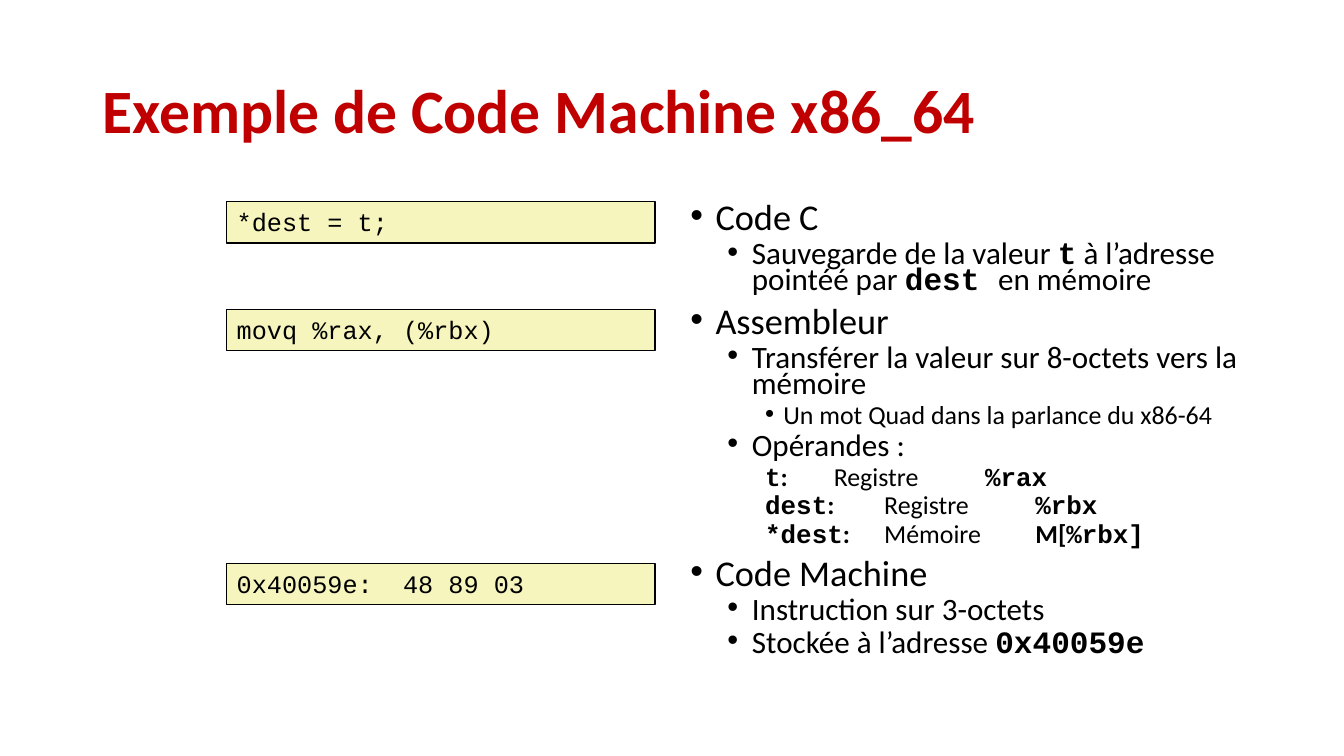
from lxml import etree
from pptx import Presentation
from pptx.dml.color import RGBColor
from pptx.enum.shapes import MSO_SHAPE
from pptx.enum.text import MSO_ANCHOR, MSO_AUTO_SIZE, PP_ALIGN
from pptx.oxml.ns import qn
from pptx.util import Pt

RECTANGLE = MSO_SHAPE.RECTANGLE
LEFT = PP_ALIGN.LEFT
MIDDLE, TOP = MSO_ANCHOR.MIDDLE, MSO_ANCHOR.TOP
NO_AUTOFIT = MSO_AUTO_SIZE.NONE

TITLE_ONLY = 5
SANS, MONO = "Calibri", "Courier New"
RED, BLACK, CREAM = "C00000", "000000", "F6F5BD"

# Run styles: font and bold
PLAIN, STRONG, CODE = (SANS, False), (SANS, True), (MONO, True)

# For each outline level: size, left margin, first-line indent, space before
LEVELS = [(25.9, 18, -18, 10), (22.2, 44, -17.5, 5), (18.5, 66.5, -13, 5)]
TAB_STOPS = (126, 198)

# Code boxes: top and text
CODE_BOXES = [
    (144, "*dest = t;"),
    (221, "movq %rax, (%rbx)"),
    (402.5, "0x40059e:  48 89 03"),
]

# Outline: level, bulleted, runs
OUTLINE = [
    (0, True, [("Code C", PLAIN)]),
    (1, True, [("Sauvegarde de la valeur ", PLAIN), ("t", CODE),
               (" à l’adresse pointéé par ", PLAIN), ("dest ", CODE),
               ("en mémoire", PLAIN)]),
    (0, True, [("Assembleur", PLAIN)]),
    (1, True, [("Transférer la valeur sur 8-octets vers la mémoire", PLAIN)]),
    (2, True, [("Un mot Quad dans la parlance du x86-64", PLAIN)]),
    (1, True, [("Opérandes :", PLAIN)]),
    (2, False, [("t", CODE), (":\t", STRONG), ("Registre\t\t", PLAIN),
                ("%rax", CODE)]),
    (2, False, [("dest", CODE), (":\t", STRONG), ("Registre\t\t", PLAIN),
                ("%rbx", CODE)]),
    (2, False, [("*dest", CODE), (": \t", STRONG), ("Mémoire\t\t", PLAIN),
                ("M[", STRONG), ("%rbx]", CODE)]),
    (0, True, [("Code Machine", PLAIN)]),
    (1, True, [("Instruction sur 3-octets", PLAIN)]),
    (1, True, [("Stockée à l’adresse ", PLAIN), ("0x40059e", CODE)]),
]


def color(hex_text):
    return RGBColor.from_string(hex_text)


def format_run(run, size, style, hex_text=BLACK):
    run.font.name, run.font.bold = style
    run.font.size = Pt(size)
    run.font.color.rgb = color(hex_text)


def format_frame(frame, anchor):
    frame.word_wrap = True
    frame.auto_size = NO_AUTOFIT
    frame.vertical_anchor = anchor


def set_title(slide, text):
    title = slide.shapes.title
    title.left, title.top = Pt(66), Pt(28.8)
    title.width, title.height = Pt(828), Pt(104.4)
    format_frame(title.text_frame, MIDDLE)
    para = title.text_frame.paragraphs[0]
    para.text = text
    para.alignment = LEFT
    para.line_spacing = 0.9
    format_run(para.runs[0], 44, STRONG, RED)


def add_code_box(slide, top, text):
    box = slide.shapes.add_shape(RECTANGLE, Pt(162), Pt(top), Pt(306), Pt(29.5))
    box.shadow.inherit = False
    box.fill.solid()
    box.fill.fore_color.rgb = color(CREAM)
    box.line.color.rgb = color(BLACK)
    box.line.width = Pt(1)
    format_frame(box.text_frame, TOP)
    para = box.text_frame.paragraphs[0]
    para.text = text
    para.alignment = LEFT
    format_run(para.runs[0], 18, (MONO, False))


def format_outline_paragraph(para, level, bulleted):
    _, margin, indent, space_before = LEVELS[level]
    para.level = level
    para.line_spacing = 0.7
    para.space_before = Pt(space_before)
    properties = para._p.get_or_add_pPr()
    properties.set("marL", str(Pt(margin)))
    properties.set("indent", str(Pt(indent)))
    if bulleted:
        etree.SubElement(properties, qn("a:buFont"), typeface="Arial")
        etree.SubElement(properties, qn("a:buChar"), char="•")
    else:
        etree.SubElement(properties, qn("a:buNone"))
    tabs = etree.SubElement(properties, qn("a:tabLst"))
    for stop in TAB_STOPS:
        etree.SubElement(tabs, qn("a:tab"), pos=str(Pt(stop)), algn="l")


def add_outline(slide, outline):
    box = slide.shapes.add_textbox(Pt(486), Pt(144), Pt(408), Pt(342.7))
    frame = box.text_frame
    format_frame(frame, TOP)
    for index, (level, bulleted, spans) in enumerate(outline):
        para = frame.add_paragraph() if index else frame.paragraphs[0]
        format_outline_paragraph(para, level, bulleted)
        for text, style in spans:
            span = para.add_run()
            span.text = text
            format_run(span, LEVELS[level][0], style)


def main():
    deck = Presentation()
    deck.slide_width, deck.slide_height = Pt(960), Pt(540)
    slide = deck.slides.add_slide(deck.slide_layouts[TITLE_ONLY])
    set_title(slide, "Exemple de Code Machine x86_64")
    add_outline(slide, OUTLINE)
    for top, text in CODE_BOXES:
        add_code_box(slide, top, text)
    deck.save("out.pptx")


if __name__ == "__main__":
    main()
